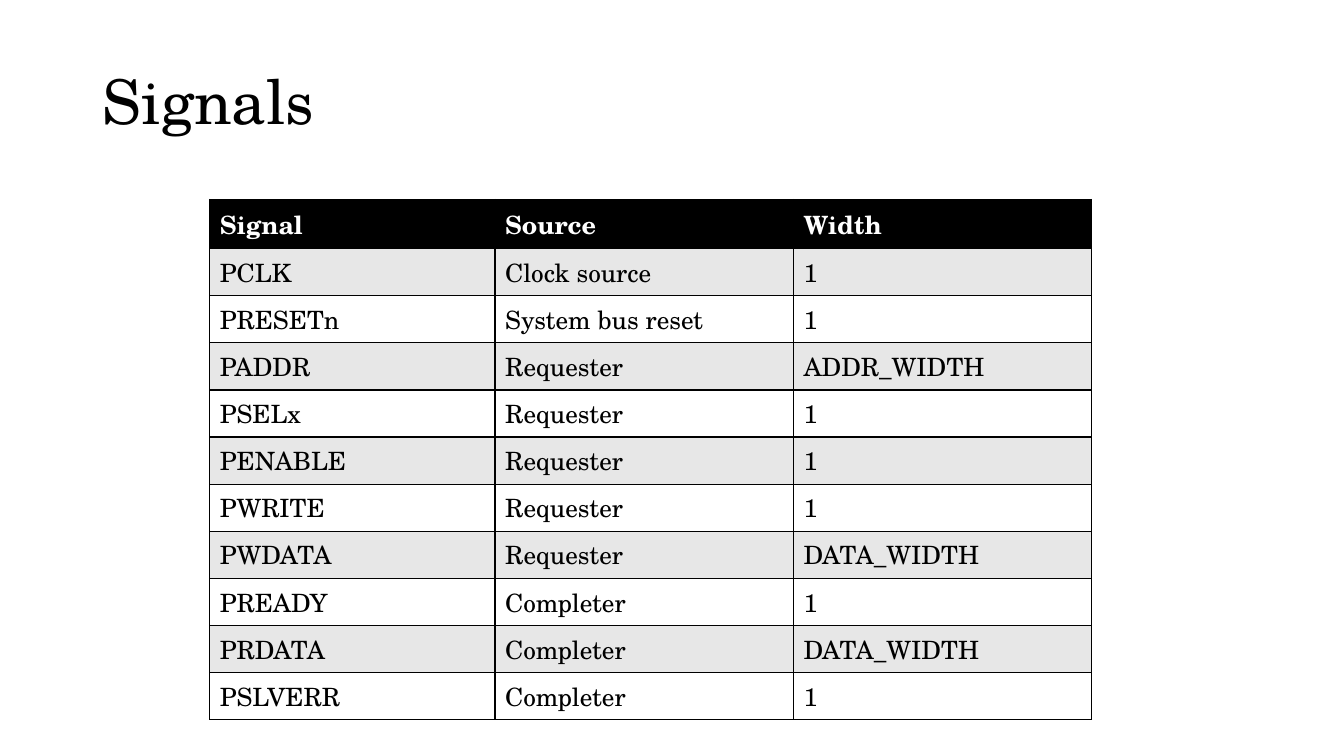
from typing import NamedTuple

from lxml import etree
from pptx import Presentation
from pptx.dml.color import RGBColor
from pptx.enum.text import MSO_ANCHOR, MSO_AUTO_SIZE, PP_ALIGN
from pptx.oxml.ns import qn
from pptx.util import Inches, Pt

LEFT = PP_ALIGN.LEFT
MIDDLE = MSO_ANCHOR.MIDDLE
NO_AUTOFIT = MSO_AUTO_SIZE.NONE
FONT = "TeX Gyre Schola"
COLORS = {"black": "000000", "white": "FFFFFF", "band": "E7E7E7"}
COLUMN_WIDTHS = (2.83, 2.96, 2.96)
HEADER_HEIGHT = ROW_HEIGHT = 0.41
FIRST_SIGNAL_HEIGHT = 0.43


class Signal(NamedTuple):
    name: str
    source: str
    width: str = "1"


HEADER = Signal("Signal", "Source", "Width")
SIGNALS = (
    Signal("PCLK", "Clock source"),
    Signal("PRESETn", "System bus reset"),
    Signal("PADDR", "Requester", "ADDR_WIDTH"),
    Signal("PSELx", "Requester"),
    Signal("PENABLE", "Requester"),
    Signal("PWRITE", "Requester"),
    Signal("PWDATA", "Requester", "DATA_WIDTH"),
    Signal("PREADY", "Completer"),
    Signal("PRDATA", "Completer", "DATA_WIDTH"),
    Signal("PSLVERR", "Completer"),
)


def format_run(r, size: float, color: str, bold: bool = False) -> None:
    """Apply the slide font to a run."""
    r.font.name = FONT
    r.font.size = Pt(size)
    r.font.bold = bold
    r.font.color.rgb = RGBColor.from_string(COLORS[color])


def add_borders(cell) -> None:
    """Give a cell a thin black line on every side."""
    props = cell._tc.get_or_add_tcPr()
    for side in ("a:lnL", "a:lnR", "a:lnT", "a:lnB"):
        line = etree.SubElement(props, qn(side), w=str(Pt(1)))
        fill = etree.SubElement(line, qn("a:solidFill"))
        etree.SubElement(fill, qn("a:srgbClr"), val=COLORS["black"])


def fill_cell(cell, text: str, fill: str, color: str, bold: bool) -> None:
    """Write and format one table cell."""
    cell.text = text
    format_run(cell.text_frame.paragraphs[0].runs[0], 18, color, bold)
    add_borders(cell)
    cell.fill.solid()
    cell.fill.fore_color.rgb = RGBColor.from_string(COLORS[fill])


def add_title(slide, text: str) -> None:
    """Place and format the title placeholder."""
    sp = slide.shapes.title
    sp.left, sp.top = Inches(0.92), Inches(0.31)
    sp.width, sp.height = Inches(11.5), Inches(1.45)
    tf = sp.text_frame
    tf.text = text
    tf.vertical_anchor = MIDDLE
    tf.auto_size = NO_AUTOFIT
    p = tf.paragraphs[0]
    p.alignment = LEFT
    p.line_spacing = 0.9
    format_run(p.runs[0], 44, "black")


def add_signal_table(slide) -> None:
    """Draw the banded table of signals."""
    rows = (HEADER, *SIGNALS)
    heights = (HEADER_HEIGHT, FIRST_SIGNAL_HEIGHT) + (ROW_HEIGHT,) * (len(rows) - 2)
    table = slide.shapes.add_table(
        len(rows), len(COLUMN_WIDTHS), Inches(2.08), Inches(1.98),
        Inches(sum(COLUMN_WIDTHS)), Inches(sum(heights)),
    ).table
    for column, width in zip(table.columns, COLUMN_WIDTHS):
        column.width = Inches(width)
    for i, (signal, height) in enumerate(zip(rows, heights)):
        table.rows[i].height = Inches(height)
        is_header = i == 0
        fill = "black" if is_header else "band" if i % 2 else "white"
        color = "white" if is_header else "black"
        for j, text in enumerate(signal):
            fill_cell(table.cell(i, j), text, fill, color, is_header)


def main() -> None:
    """Build the signals slide."""
    prs = Presentation()
    prs.slide_width, prs.slide_height = Inches(13.33), Inches(7.5)
    s = prs.slides.add_slide(prs.slide_layouts.get_by_name("Title Only"))
    add_title(s, "Signals")
    add_signal_table(s)
    prs.save("out.pptx")


if __name__ == "__main__":
    main()
